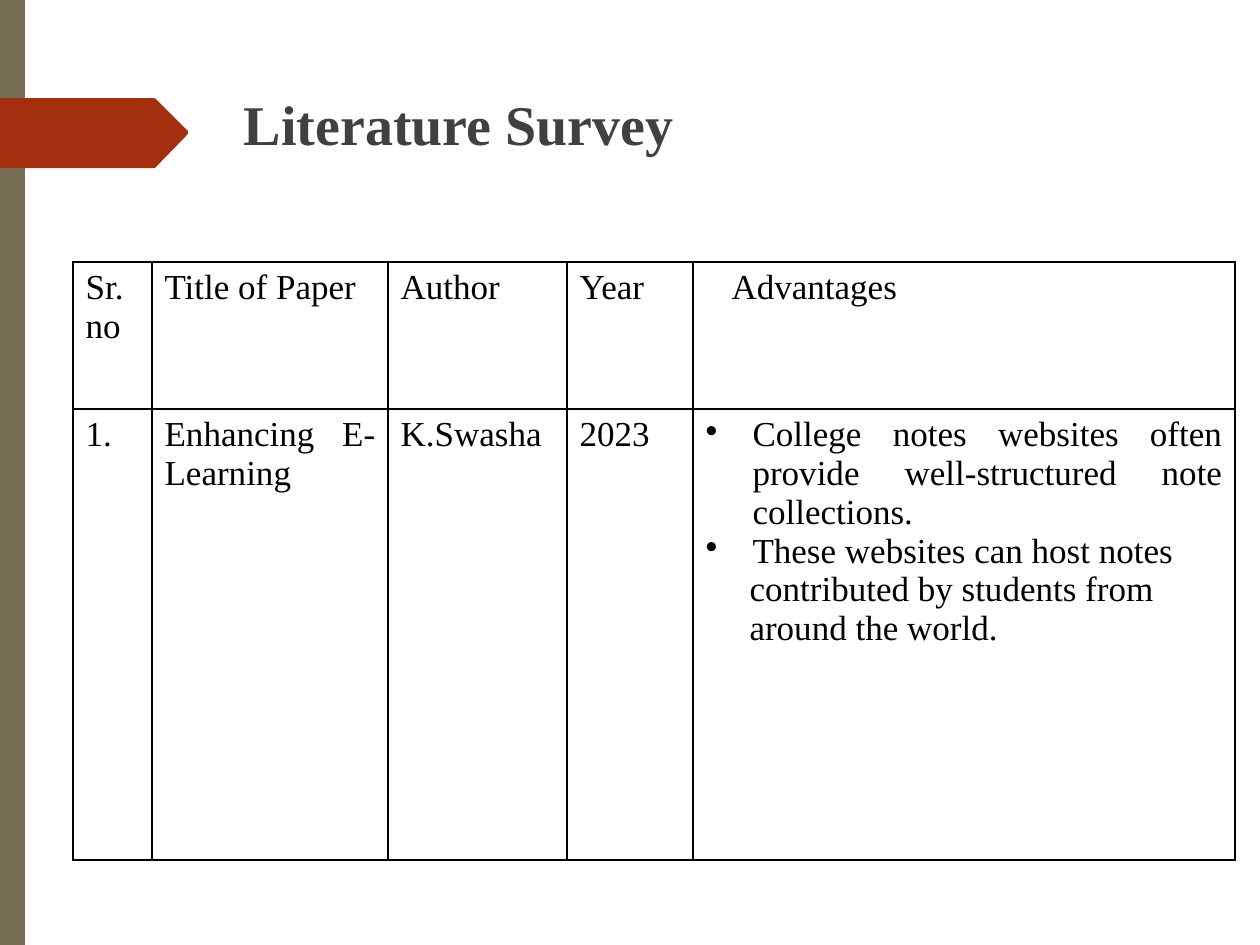
import pptx
import pptx.dml.color
import pptx.enum.text
import pptx.oxml
import pptx.oxml.ns
import pptx.util

SCALE = 914400 / 126  # EMU per px
FONT = "Times New Roman"
COLORS = {"bar": "766E53", "arrow": "A42F0F", "title": "404040", "text": "000000", "border": "000000"}
JUSTIFY = pptx.enum.text.PP_ALIGN.JUSTIFY
LEFT = pptx.enum.text.PP_ALIGN.LEFT

ARROW_POINTS = [(0, 98), (154, 98), (156, 99), (188, 131), (188, 134), (155, 168), (0, 168)]

COLUMN_WIDTHS = [79, 236, 179, 126, 542]
ROW_HEIGHTS = [147, 451]
BULLET = {"margin": 47, "indent": -47, "bullet": "•"}
# Each cell is a list of (text, paragraph format)
ROWS = [
    [[("Sr.no", {})], [("Title of Paper", {})], [("Author", {})], [("Year", {})],
     [("Advantages", {"margin": 26})]],
    [[("1.", {})], [("Enhancing E-Learning", {})], [("K.Swasha", {"alignment": LEFT})], [("2023", {})],
     [("College notes websites often provide well-structured note collections.", BULLET),
      ("These websites can host notes", BULLET),
      ("contributed by students from", {"margin": 44}),
      ("around the world.", {"margin": 44})]],
]


def px(length):
    return pptx.util.Emu(round(length * SCALE))


def rgb(name):
    return pptx.dml.color.RGBColor.from_string(COLORS[name])


def set_attributes(target, values):
    for name, value in values.items():
        setattr(target, name, value)


def add_outline(slide, points, color):
    builder = slide.shapes.build_freeform(*points[0], scale=SCALE)
    builder.add_line_segments(points[1:], close=True)
    shape = builder.convert_to_shape()
    shape.shadow.inherit = False
    shape.fill.solid()
    shape.fill.fore_color.rgb = rgb(color)
    shape.line.fill.background()


def write_paragraph(paragraph, text, size, color, bold=False, alignment=LEFT,
                    margin=0, indent=0, bullet=None):
    paragraph.alignment = alignment
    properties = paragraph._p.get_or_add_pPr()
    properties.set("marL", str(px(margin)))
    properties.set("indent", str(px(indent)))
    if bullet:
        mark = pptx.oxml.parse_xml(f'<a:buChar {pptx.oxml.ns.nsdecls("a")} char="{bullet}"/>')
        properties.append(mark)
    run = paragraph.add_run()
    run.text = text
    set_attributes(run.font, {"name": FONT, "size": pptx.util.Pt(size), "bold": bold})
    run.font.color.rgb = rgb(color)


def add_title(slide, text):
    frame = slide.shapes.add_textbox(px(242), px(89), px(504), px(69)).text_frame
    set_attributes(frame, {"word_wrap": True, "margin_left": px(2), "margin_top": px(1),
                           "margin_right": 0, "margin_bottom": 0})
    write_paragraph(frame.paragraphs[0], text, 32, "title", bold=True)


def add_borders(cell):
    properties = cell._tc.get_or_add_tcPr()
    for side in "LRTB":
        properties.append(pptx.oxml.parse_xml(
            f'<a:ln{side} {pptx.oxml.ns.nsdecls("a")} w="{pptx.util.Pt(1)}"><a:solidFill>'
            f'<a:srgbClr val="{COLORS["border"]}"/></a:solidFill></a:ln{side}>'))


def fill_cell(cell, lines):
    add_borders(cell)
    cell.fill.background()
    frame = cell.text_frame
    for number, (text, layout) in enumerate(lines):
        paragraph = frame.add_paragraph() if number else frame.paragraphs[0]
        write_paragraph(paragraph, text, 20, "text", **{"alignment": JUSTIFY, **layout})


def add_survey_table(slide):
    table = slide.shapes.add_table(
        len(ROWS), len(COLUMN_WIDTHS), px(73), px(262),
        px(sum(COLUMN_WIDTHS)), px(sum(ROW_HEIGHTS))).table
    set_attributes(table, {"first_row": False, "horz_banding": False})
    for column, width in zip(table.columns, COLUMN_WIDTHS):
        column.width = px(width)
    for row, height, contents in zip(table.rows, ROW_HEIGHTS, ROWS):
        row.height = px(height)
        for cell, lines in zip(row.cells, contents):
            fill_cell(cell, lines)


def main():
    presentation = pptx.Presentation()
    set_attributes(presentation, {"slide_width": px(1260), "slide_height": px(945)})
    slide = presentation.slides.add_slide(presentation.slide_layouts[6])

    # Side bar and arrow tab
    add_outline(slide, [(0, 0), (25, 0), (25, 945), (0, 945)], "bar")
    add_outline(slide, ARROW_POINTS, "arrow")

    # Heading and survey
    add_title(slide, "Literature Survey")
    add_survey_table(slide)

    presentation.save("out.pptx")


if __name__ == "__main__":
    main()
